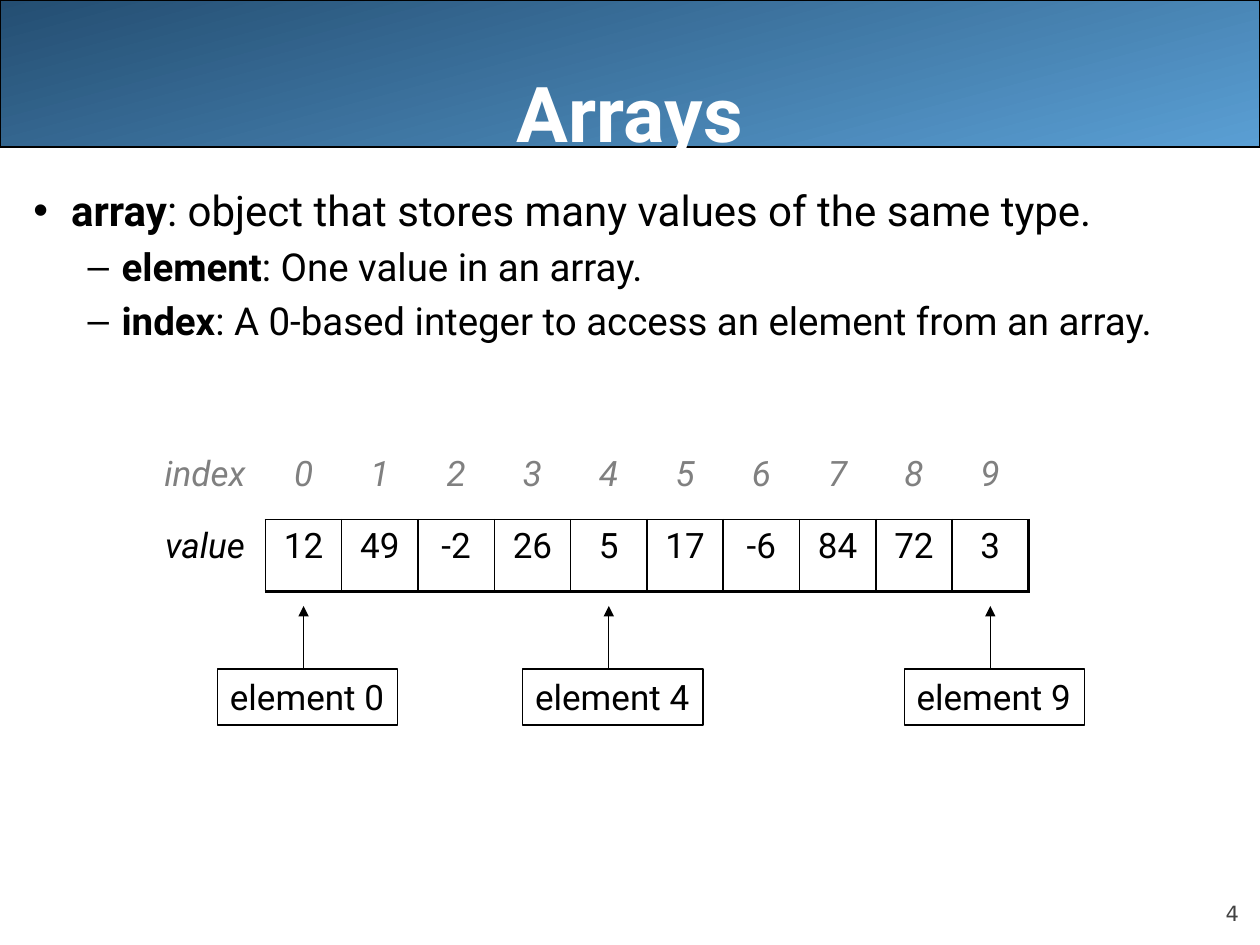
from lxml import etree
from pptx import Presentation
from pptx.dml.color import RGBColor
from pptx.enum.shapes import MSO_CONNECTOR, MSO_SHAPE
from pptx.enum.text import MSO_ANCHOR, MSO_AUTO_SIZE, PP_ALIGN
from pptx.oxml import parse_xml
from pptx.oxml.ns import nsdecls, qn
from pptx.util import Pt

BLACK = RGBColor(0x00, 0x00, 0x00)
WHITE = RGBColor(0xFF, 0xFF, 0xFF)
GRAY = RGBColor(0x80, 0x80, 0x80)
DARK_GRAY = RGBColor(0x42, 0x42, 0x42)
DARK_BLUE = RGBColor(0x24, 0x4E, 0x72)
LIGHT_BLUE = RGBColor(0x5A, 0x9F, 0xD4)

CENTER, RIGHT = PP_ALIGN.CENTER, PP_ALIGN.RIGHT
BOTTOM = MSO_ANCHOR.BOTTOM
NO_FIT = MSO_AUTO_SIZE.NONE
ROUND_RECT, RECT = MSO_SHAPE.ROUNDED_RECTANGLE, MSO_SHAPE.RECTANGLE
STRAIGHT = MSO_CONNECTOR.STRAIGHT

FONT = "Roboto"
VALUES = [12, 49, -2, 26, 5, 17, -6, 84, 72, 3]
LABELED = [0, 4, 9]
DEFINITIONS = [
    (0, "array", ": object that stores many values of the same type."),
    (1, "element", ": One value in an array."),
    (1, "index", ": A 0-based integer to access an element from an array."),
]
# Per level: text size, left margin, hanging indent, space before, bullet
LEVELS = [(24, 21.6, -21.6, 0, "•"), (22, 50.4, -19.44, 4.4, "–")]

LABEL_COL, CELL_COL, ROW = 69, 43.6, 41


def box(*lengths):
    return [Pt(v) for v in lengths]


def add_run(p, text, size, color=BLACK, name=FONT, **formats):
    r = p.add_run()
    r.text = text
    r.font.color.rgb = color
    for key, value in {"size": Pt(size), "name": name, **formats}.items():
        setattr(r.font, key, value)


def set_frame(tf, **formats):
    for key, value in {"word_wrap": True, "auto_size": NO_FIT, **formats}.items():
        setattr(tf, key, value)


def add_title(s, left, top, width, height):
    band = s.shapes.add_shape(ROUND_RECT, *box(left, top, width, height))
    band.adjustments[0] = 0
    band.shadow.inherit = False
    band.fill.gradient()
    band.fill.gradient_angle = 285
    for stop, color, position in zip(
            band.fill.gradient_stops, (DARK_BLUE, LIGHT_BLUE), (0, 1)):
        stop.color.rgb = color
        stop.position = position
    band.line.color.rgb = BLACK
    band.line.width = Pt(0.75)
    s.shapes._spTree.insert(2, band._element)

    title = s.shapes.title
    title.left, title.top, title.width, title.height = box(
        left + 36, top, width - 72, height + 6)
    set_frame(title.text_frame, vertical_anchor=BOTTOM, margin_left=0,
              margin_top=Pt(3.6), margin_right=0, margin_bottom=0)
    p = title.text_frame.paragraphs[0]
    p.alignment = CENTER
    add_run(p, "Arrays", 44, WHITE, bold=True)


def add_definitions(s, left, top, width, height):
    tf = s.shapes.add_textbox(*box(left, top, width, height)).text_frame
    set_frame(tf)
    for i, (level, term, meaning) in enumerate(DEFINITIONS):
        size, margin, indent, before, bullet = LEVELS[level]
        p = tf.add_paragraph() if i else tf.paragraphs[0]
        p.level = level
        p.space_before = Pt(before)
        pPr = p._p.get_or_add_pPr()
        pPr.set("marL", str(Pt(margin)))
        pPr.set("indent", str(Pt(indent)))
        etree.SubElement(pPr, qn("a:buFont")).set("typeface", "Arial")
        etree.SubElement(pPr, qn("a:buChar")).set("char", bullet)
        add_run(p, term, size, bold=True)
        add_run(p, meaning, size, bold=False)


def set_borders(cell, widths):
    """Set the left, right, top and bottom border widths; 0 means no line."""
    tcPr = cell._tc.get_or_add_tcPr()
    for i, (side, width) in enumerate(zip("LRTB", widths)):
        fill = (f'<a:solidFill><a:srgbClr val="{BLACK}"/></a:solidFill>'
                if width else "<a:noFill/>")
        tcPr.insert(i, parse_xml(
            f'<a:ln{side} {nsdecls("a")} w="{Pt(width)}">{fill}</a:ln{side}>'))


def add_array_table(s, left, top):
    n = len(VALUES)
    rows = [["index", *range(n)], ["value", *VALUES]]
    frame = s.shapes.add_table(
        2, n + 1, *box(left, top, LABEL_COL + n * CELL_COL, 2 * ROW))
    table = frame.table
    table.first_row = table.horz_banding = False
    for c, column in enumerate(table.columns):
        column.width = Pt(CELL_COL if c else LABEL_COL)
    for r, texts in enumerate(rows):
        table.rows[r].height = Pt(ROW)
        for c, text in enumerate(texts):
            cell = table.cell(r, c)
            cell.fill.background()
            if c == 0:
                set_borders(cell, (0, r, 0, 0))
            elif r == 0:
                set_borders(cell, (0, 0, 0, 1))
            else:
                set_borders(cell, (1, 2.25 if c == n else 1, 1, 2.25))
            p = cell.text_frame.paragraphs[0]
            p.alignment = CENTER
            add_run(p, str(text), 20, BLACK if r else GRAY,
                    italic=r == 0 or c == 0)


def add_element_label(s, index, x, top, width, height):
    """Place a label whose arrow rises 36 pt at x to the array cell."""
    arrow = s.shapes.add_connector(STRAIGHT, *box(x, top, x, top - 36))
    arrow.line.color.rgb = BLACK
    arrow.line.width = Pt(0.75)
    etree.SubElement(arrow.line._get_or_add_ln(),
                     qn("a:tailEnd")).set("type", "triangle")
    etree.SubElement(arrow._element.spPr, qn("a:effectLst"))

    label = s.shapes.add_shape(RECT, *box(x - 49.2, top, width, height))
    label.shadow.inherit = False
    label.fill.background()
    label.line.color.rgb = BLACK
    label.line.width = Pt(0.75)
    set_frame(label.text_frame, word_wrap=False, vertical_anchor=MSO_ANCHOR.TOP)
    p = label.text_frame.paragraphs[0]
    p.alignment = PP_ALIGN.LEFT
    add_run(p, f"element {index}", 20)


def add_array_diagram(s, left, top):
    add_array_table(s, left, top)
    for index in LABELED:
        x = left + LABEL_COL + (index + 0.5) * CELL_COL
        add_element_label(s, index, x, top + 126.3, 103, 32)


def add_slide_number(s, left, top, width, height):
    tf = s.shapes.add_textbox(*box(left, top, width, height)).text_frame
    set_frame(tf, vertical_anchor=BOTTOM, margin_left=0, margin_top=0,
              margin_right=0, margin_bottom=0)
    p = tf.paragraphs[0]
    p.alignment = RIGHT
    add_run(p, "4", 12, DARK_GRAY, "DejaVu Sans")


def main():
    prs = Presentation()
    prs.slide_width, prs.slide_height = box(720, 540)
    s = prs.slides.add_slide(prs.slide_layouts[5])
    add_title(s, 0, 0, 720, 84)
    add_definitions(s, 12, 102, 708, 408)
    add_array_diagram(s, 82.7, 256)
    add_slide_number(s, 648, 500, 60, 29)
    prs.save("out.pptx")


if __name__ == "__main__":
    main()
